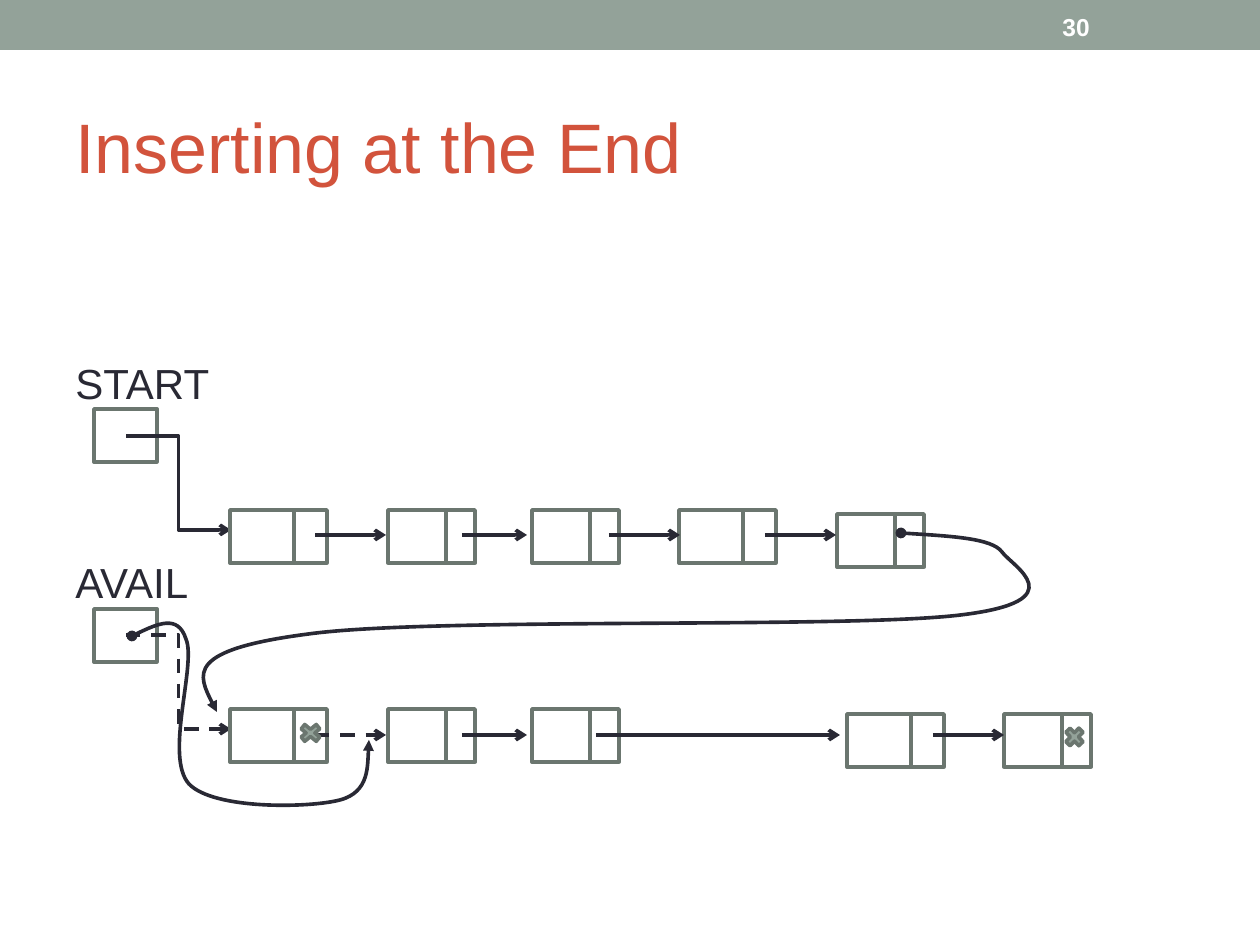
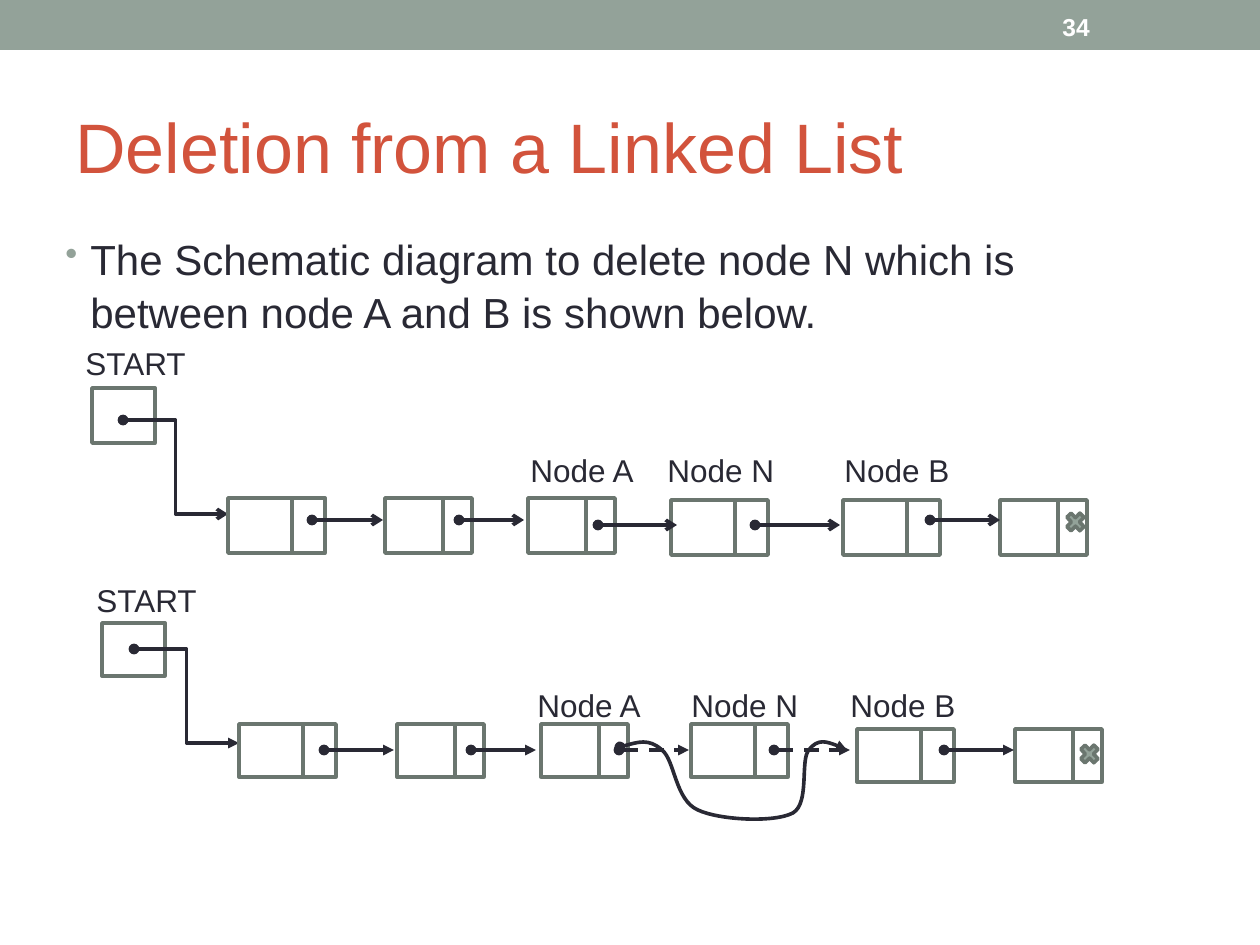
import pptx
import pptx.dml.color
import pptx.enum.dml
import pptx.enum.shapes
import pptx.enum.text
import pptx.oxml.xmlchemy
import pptx.util

EMU_PER_PX = 914400 / 126
BAND = pptx.dml.color.RGBColor(0x93, 0xA2, 0x99)
OUTLINE = pptx.dml.color.RGBColor(0x6B, 0x76, 0x6F)
INK = pptx.dml.color.RGBColor(0x29, 0x29, 0x34)
TITLE = pptx.dml.color.RGBColor(0xD2, 0x53, 0x3C)
WHITE = pptx.dml.color.RGBColor(0xFF, 0xFF, 0xFF)
FONT = "Arial"
LINE_WIDTH = pptx.util.Pt(2.07)
WIDE = (64, 33)
NARROW = (58, 29)
SHAPE = pptx.enum.shapes.MSO_SHAPE
CONNECTOR = pptx.enum.shapes.MSO_CONNECTOR
ANCHOR = pptx.enum.text.MSO_ANCHOR


def px(length):
    return pptx.util.Emu(round(length * EMU_PER_PX))


def append_drawing_element(parent, name, **attributes):
    element = pptx.oxml.xmlchemy.OxmlElement(f"a:{name}")
    for key, value in attributes.items():
        element.set(key, value)
    parent.append(element)
    return element


def add_text(page, text, left, top, width, height, size,
             color=INK, bold=False, anchor=ANCHOR.TOP, bullet=False):
    box = page.shapes.add_textbox(px(left), px(top), px(width), px(height))
    frame = box.text_frame
    frame.word_wrap = True
    frame.vertical_anchor = anchor
    para = frame.paragraphs[0]
    if bullet:
        add_bullet(para)
    span = para.add_run()
    span.text = text
    span.font.name = FONT
    span.font.size = pptx.util.Pt(size)
    span.font.bold = bold
    span.font.color.rgb = color


def add_bullet(para):
    para.line_spacing = 1.06
    properties = para._p.get_or_add_pPr()
    properties.set("marL", str(px(25)))
    properties.set("indent", str(px(-25)))
    bullet_color = append_drawing_element(properties, "buClr")
    append_drawing_element(bullet_color, "srgbClr", val=str(BAND))
    append_drawing_element(properties, "buSzPct", val="85000")
    append_drawing_element(properties, "buChar", char="•")


def add_shape(page, kind, left, top, width, height, fill=None, outline=OUTLINE):
    shape = page.shapes.add_shape(kind, px(left), px(top), px(width), px(height))
    shape.shadow.inherit = False
    if fill is None:
        shape.fill.background()
    else:
        shape.fill.solid()
        shape.fill.fore_color.rgb = fill
    if outline is None:
        shape.line.fill.background()
    else:
        shape.line.color.rgb = outline
        shape.line.width = LINE_WIDTH


def add_page(deck, title, number):
    page = deck.slides.add_slide(deck.slide_layouts[6])
    add_shape(page, SHAPE.RECTANGLE, 0, 0, 1260, 50, BAND, None)
    add_text(page, title, 63, 78, 1134, 136, 40, TITLE, anchor=ANCHOR.MIDDLE)
    add_text(page, number, 1050, 4, 147, 45, 14, WHITE, True, ANCHOR.MIDDLE)
    return page


def add_nodes(page, nodes, height):
    for left, top, widths in nodes:
        data_width, link_width = widths
        add_shape(page, SHAPE.RECTANGLE, left, top, data_width, height)
        add_shape(page, SHAPE.RECTANGLE, left + data_width, top, link_width, height)


def add_null_mark(page, left, top, width=25, height=26):
    add_shape(page, SHAPE.MATH_MULTIPLY, left, top, width, height, BAND)


def style_stroke(line, head, tail, dashed=False):
    line.color.rgb = INK
    line.width = LINE_WIDTH
    if dashed:
        line.dash_style = pptx.enum.dml.MSO_LINE.DASH
    stroke = line._get_or_add_ln()
    if head:
        append_drawing_element(stroke, "headEnd", type=head)
    append_drawing_element(stroke, "tailEnd", type=tail)


def add_arrow(page, start, end, head=None, tail="arrow", dashed=False,
              kind=CONNECTOR.STRAIGHT):
    arrow = page.shapes.add_connector(kind, *map(px, start + end))
    style_stroke(arrow.line, head, tail, dashed)
    append_drawing_element(arrow._element.spPr, "effectLst")


def add_links(page, links, y, **style):
    for start_x, end_x in links:
        add_arrow(page, (start_x, y), (end_x, y), **style)


def add_pointer(page, left, top, height, start, **style):
    add_shape(page, SHAPE.RECTANGLE, left, top, 63, height)
    x, y = start
    add_arrow(page, start, (x + 105, y + 94), kind=CONNECTOR.ELBOW, **style)


def add_curve(page, points):
    points = [(px(x), px(y)) for x, y in points]
    builder = page.shapes.build_freeform(*points[0])
    builder.add_line_segments(points[1:], close=False)
    curve = builder.convert_to_shape()
    segments = curve._element.xpath(".//a:lnTo")
    for first in range(0, len(segments), 3):
        bezier = pptx.oxml.xmlchemy.OxmlElement("a:cubicBezTo")
        segments[first].addprevious(bezier)
        for segment in segments[first:first + 3]:
            bezier.append(segment[0])
            segment.getparent().remove(segment)
    curve.shadow.inherit = False
    curve.fill.background()
    style_stroke(curve.line, "oval", "triangle")


def add_node_names(page, lefts, top):
    for name, left in zip("ANB", lefts):
        add_text(page, f"Node {name}", left, top, 140, 50, 18)


def build_insertion(deck):
    page = add_page(deck, "Inserting at the End", "30")
    add_text(page, "START", 63, 351, 193, 62, 24)
    add_text(page, "AVAIL", 63, 550, 150, 62, 24)
    add_pointer(page, 94, 409, 53, (126, 436))
    add_pointer(page, 94, 609, 53, (126, 635), dashed=True)

    add_nodes(page, [(230, 510, WIDE), (388, 510, NARROW), (532, 510, NARROW),
                     (679, 510, WIDE), (837, 514, NARROW)], 53)
    add_links(page, [(315, 386), (462, 527), (609, 680), (765, 836)], 535)

    add_nodes(page, [(230, 709, WIDE), (388, 709, NARROW), (532, 709, NARROW),
                     (847, 714, WIDE), (1004, 714, NARROW)], 53)
    add_links(page, [(315, 386)], 735, dashed=True)
    add_links(page, [(462, 527), (596, 840), (933, 1004)], 735)
    add_null_mark(page, 296, 721, 29, 24)
    add_null_mark(page, 1062, 724)

    add_curve(page, [(132, 636), (155, 625), (178, 614), (186, 639),
                     (197, 664), (164, 756), (189, 784),
                     (214, 810), (310, 808), (340, 800),
                     (370, 792), (369, 741), (369, 740)])
    add_curve(page, [(901, 533), (946, 536), (992, 538), (1002, 552),
                     (1012, 566), (1077, 601), (961, 615),
                     (847, 629), (433, 617), (309, 634),
                     (184, 650), (200, 680), (217, 712)])


def build_deletion(deck):
    page = add_page(deck, "Deletion from a Linked List", "34")
    add_text(page, "The Schematic diagram to delete node N which is between "
             "node A and B is shown below.", 53, 224, 1134, 672, 24, bullet=True)

    add_text(page, "START", 73, 338, 134, 50, 18)
    add_node_names(page, (518, 655, 832), 445)
    add_pointer(page, 92, 388, 55, (123, 420), head="oval")
    add_nodes(page, [(228, 498, WIDE), (385, 498, NARROW), (528, 498, NARROW),
                     (671, 500, WIDE), (843, 500, WIDE), (1000, 500, NARROW)], 55)
    add_links(page, [(312, 383), (459, 524), (930, 1000)], 520, head="oval")
    add_links(page, [(598, 677), (755, 840)], 525, head="oval")
    add_null_mark(page, 1063, 509)

    add_text(page, "START", 84, 575, 134, 50, 18)
    add_node_names(page, (525, 679, 838), 680)
    add_pointer(page, 102, 623, 53, (134, 649), head="oval", tail="triangle")
    add_nodes(page, [(239, 724, WIDE), (397, 724, NARROW), (541, 724, NARROW),
                     (691, 724, WIDE), (857, 729, WIDE), (1015, 729, NARROW)], 53)
    add_links(page, [(324, 394), (471, 536), (944, 1014)], 750,
              head="oval", tail="triangle")
    add_links(page, [(619, 689), (774, 850)], 750,
              head="oval", tail="triangle", dashed=True)
    add_null_mark(page, 1077, 741)
    add_curve(page, [(620, 747), (635, 743), (649, 738), (662, 750),
                     (675, 760), (675, 800), (698, 810),
                     (719, 820), (774, 823), (793, 813),
                     (810, 803), (800, 760), (809, 750),
                     (818, 738), (833, 743), (847, 750)])


def main():
    deck = pptx.Presentation()
    deck.slide_width = px(1260)
    deck.slide_height = px(945)
    build_insertion(deck)
    build_deletion(deck)
    deck.save("out.pptx")


if __name__ == "__main__":
    main()
